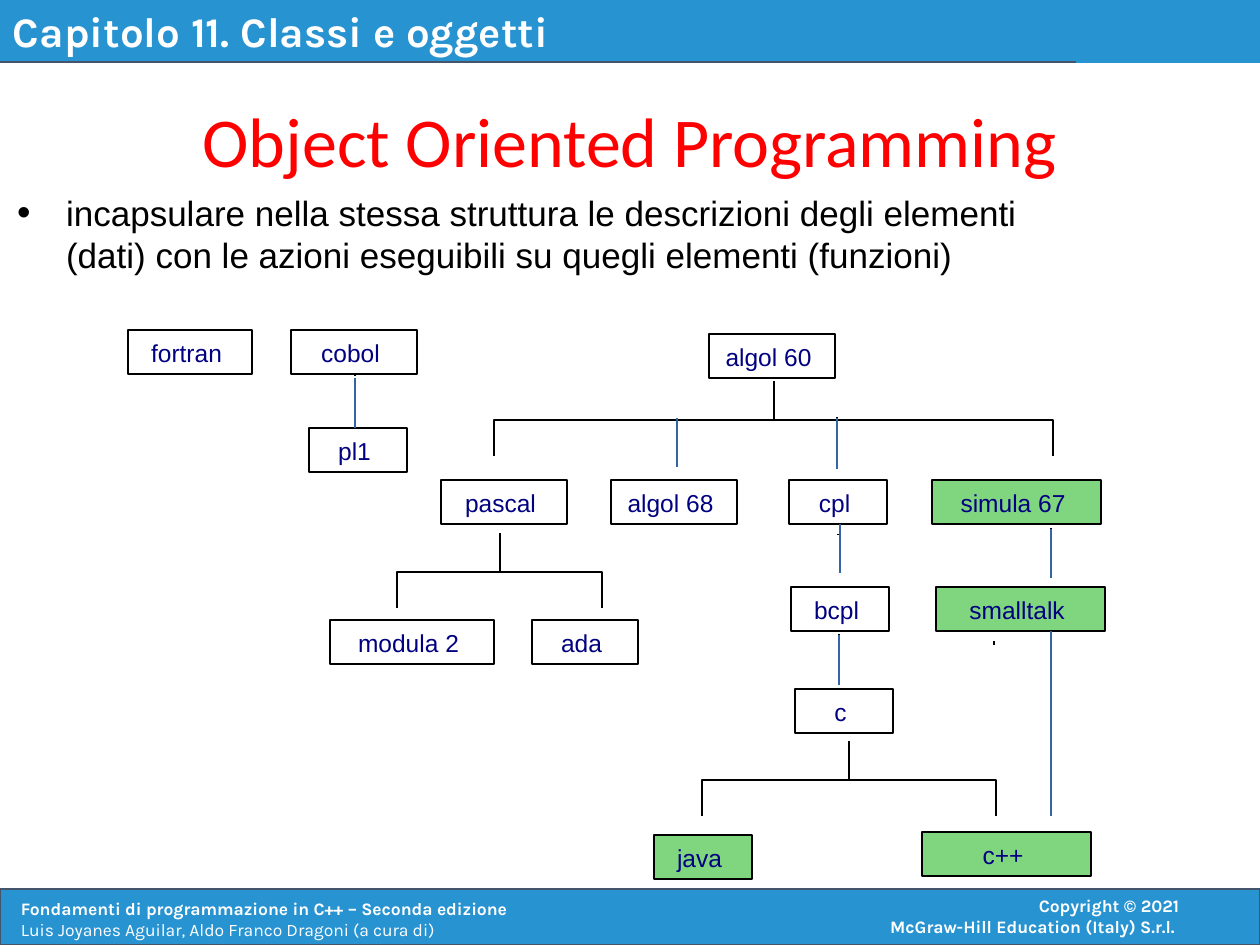
"""Build the slide on object oriented programming and its language tree."""
from pptx import Presentation
from pptx.dml.color import RGBColor
from pptx.enum.shapes import MSO_CONNECTOR, MSO_SHAPE
from pptx.enum.text import MSO_ANCHOR, MSO_AUTO_SIZE, PP_ALIGN
from pptx.oxml.ns import qn
from pptx.util import Pt
from lxml import etree

PX = 914400 / 126
RECT, LINE = MSO_SHAPE.RECTANGLE, MSO_CONNECTOR.STRAIGHT
TOP, MID = MSO_ANCHOR.TOP, MSO_ANCHOR.MIDDLE
LEFT, MIDDLE, RIGHT = PP_ALIGN.LEFT, PP_ALIGN.CENTER, PP_ALIGN.RIGHT
FIXED = MSO_AUTO_SIZE.NONE
WHITE = RGBColor(0xFF, 0xFF, 0xFF)
BLACK = RGBColor(0, 0, 0)
RED = RGBColor(0xFF, 0, 0)
NAVY = RGBColor(0, 0, 0x80)
GREEN = RGBColor(0, 0xAE, 0)
SKY = RGBColor(0x28, 0x93, 0xD1)
SLATE = RGBColor(0x44, 0x54, 0x6A)
BLUE = RGBColor(0x34, 0x65, 0xA4)
BOX_H = 44

BOXES = [
    ("fortran ", 128, 330, 124, False),
    ("cobol ", 291, 330, 126, False),
    ("pl1 ", 309, 428, 98, False),
    ("algol 60 ", 709, 334, 126, False),
    ("pascal ", 441, 480, 126, False),
    ("algol 68 ", 611, 480, 126, False),
    ("cpl ", 789, 480, 98, False),
    ("simula 67 ", 932, 480, 169, True),
    ("modula 2 ", 330, 620, 164, False),
    ("ada ", 532, 620, 106, False),
    ("bcpl ", 791, 587, 98, False),
    ("smalltalk ", 936, 587, 169, True),
    ("c ", 795, 689, 98, False),
    ("java ", 654, 835, 98, True),
    ("c++ ", 922, 832, 169, True),
]
FORKS = [(494, 1053, 381), (397, 602, 533), (702, 996, 741)]
LINKS = [(677, 418, 467), (837, 418, 469), (840, 524, 573), (839, 635, 685),
         (1051, 529, 578), (355, 378, 428), (1051, 631, 816)]
TICKS = [(837, 417, 418), (838, 534, 535), (839, 634, 635), (663, 419, 420),
         (1051, 528, 529), (994, 641, 645), (355, 375, 376)]


def px(*vals):
    """Turn pixel lengths into EMU."""
    return [round(v * PX) for v in vals]


def style(para, size, face, color, bold=False, align=LEFT):
    """Set font and alignment of a paragraph."""
    font = para.font
    font.size, font.name, font.bold = Pt(size), face, bold
    font.color.rgb = color
    para.alignment = align


def inset(frame, side, edge, anchor=TOP):
    """Set the margins and anchor of a text frame."""
    frame.word_wrap = True
    frame.auto_size = FIXED
    frame.vertical_anchor = anchor
    frame.margin_left = frame.margin_right = px(side)[0]
    frame.margin_top = frame.margin_bottom = px(edge)[0]


def add_rect(slide, area, fill=None, line=None, width=0.75):
    """Add a plain rectangle."""
    rect = slide.shapes.add_shape(RECT, *px(*area))
    rect.shadow.inherit = False
    if fill is None:
        rect.fill.background()
    else:
        rect.fill.solid()
        rect.fill.fore_color.rgb = fill
    if line is None:
        rect.line.fill.background()
    else:
        rect.line.color.rgb = line
        rect.line.width = Pt(width)
    return rect


def add_box(slide, text, left, top, width, green):
    """Add one language box, with a half clear green fill if asked."""
    box = add_rect(slide, (left, top, width, BOX_H), GREEN if green else None, BLACK, 1)
    if green:
        tint = box._element.spPr.find(qn("a:solidFill")).find(qn("a:srgbClr"))
        etree.SubElement(tint, qn("a:alpha"), val="50000")
    inset(box.text_frame, 14, 8)
    para = box.text_frame.paragraphs[0]
    para.text = text
    style(para, 14, "Arial", NAVY, align=MIDDLE)


def add_line(slide, start, end, color, width=0.75):
    """Add a straight line."""
    line = slide.shapes.add_connector(LINE, *px(*start, *end))
    line.line.color.rgb = color
    line.line.width = Pt(width)
    etree.SubElement(line._element.spPr, qn("a:effectLst"))


def add_fork(slide, left, right, top):
    """Add a bracket that joins a parent to two outer children."""
    mid, bar, foot = (left + right) / 2, top + 39, top + 75
    path = slide.shapes.build_freeform(left, foot, scale=PX)
    path.add_line_segments([(left, bar), (right, bar), (right, foot)], close=False)
    path.move_to(mid, bar)
    path.add_line_segments([(mid, top)], close=False)
    fork = path.convert_to_shape()
    fork.shadow.inherit = False
    fork.fill.background()
    fork.line.color.rgb = BLACK
    fork.line.width = Pt(1)


def add_text(slide, area):
    """Add a text box and return its frame."""
    frame = slide.shapes.add_textbox(*px(*area)).text_frame
    inset(frame, 13, 6)
    return frame


def add_bars(slide):
    """Add the chapter bar and the footer."""
    add_rect(slide, (0, 889, 1260, 56), SKY, SLATE)
    para = add_text(slide, (8, 892, 602, 54)).paragraphs[0]
    book = para.add_run()
    book.text = "Fondamenti di programmazione in C++ – Seconda edizione"
    book.font.bold = True
    para.add_line_break()
    para.add_run().text = "Luis Joyanes Aguilar, Aldo Franco Dragoni (a cura di)"
    style(para, 10, "Karla", WHITE)
    frame = add_text(slide, (848, 889, 344, 56))
    frame.text = "Copyright © 2021\nMcGraw-Hill Education (Italy) S.r.l. "
    for para in frame.paragraphs:
        style(para, 10, "Karla", WHITE, True, RIGHT)
    head = add_rect(slide, (0, 0, 1260, 63), SKY).text_frame
    inset(head, 13, 6)
    head.text = "Capitolo 11. Classi e oggetti"
    style(head.paragraphs[0], 24, "Karla", WHITE, True)
    add_line(slide, (0, 62), (1076, 62), SLATE)


def place(holder, area):
    """Move a placeholder."""
    holder.left, holder.top, holder.width, holder.height = px(*area)


def fill_title(holder):
    """Write the title."""
    place(holder, (193, 115, 873, 59))
    inset(holder.text_frame, 0, 0, MID)
    para = holder.text_frame.paragraphs[0]
    para.text = "Object Oriented Programming"
    para.line_spacing = 0.93
    style(para, 40, "Calibri", RED, align=MIDDLE)


def fill_body(holder):
    """Write the bullet point."""
    place(holder, (4, 185, 1216, 97))
    inset(holder.text_frame, 13, 6)
    para = holder.text_frame.paragraphs[0]
    para.text = ("incapsulare nella stessa struttura le descrizioni degli elementi\v"
                 "(dati) con le azioni eseguibili su quegli elementi (funzioni)")
    para.space_before = Pt(0)
    props = para._p.get_or_add_pPr()
    dent = px(49)[0]
    props.set("marL", str(dent))
    props.set("indent", str(-dent))
    etree.SubElement(props, qn("a:buSzPct"), val="110000")
    etree.SubElement(props, qn("a:buFont"), typeface="Arial")
    etree.SubElement(props, qn("a:buChar"), char="•")
    style(para, 20, "Arial", BLACK)


def main():
    """Build and save the slide."""
    deck = Presentation()
    deck.slide_width, deck.slide_height = px(1260, 945)
    slide = deck.slides.add_slide(deck.slide_layouts[1])
    add_bars(slide)
    for box in BOXES:
        add_box(slide, *box)
    for fork in FORKS:
        add_fork(slide, *fork)
    for x, top, foot in TICKS:
        add_line(slide, (x, top), (x, foot), BLACK, 1)
    for x, top, foot in LINKS:
        add_line(slide, (x, top), (x, foot), BLUE)
    fill_title(slide.shapes.title)
    fill_body(slide.placeholders[1])
    deck.save("out.pptx")


if __name__ == "__main__":
    main()
